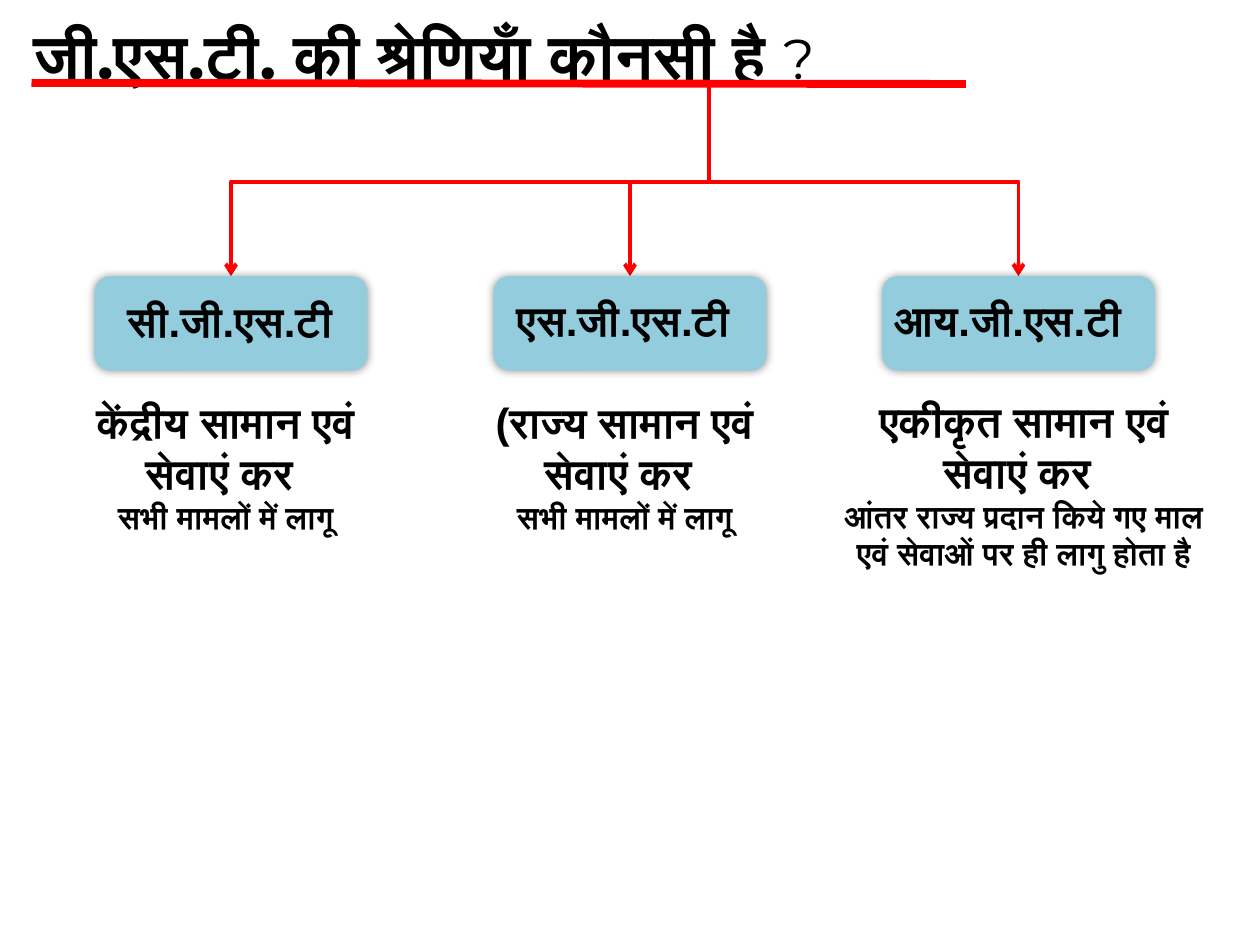
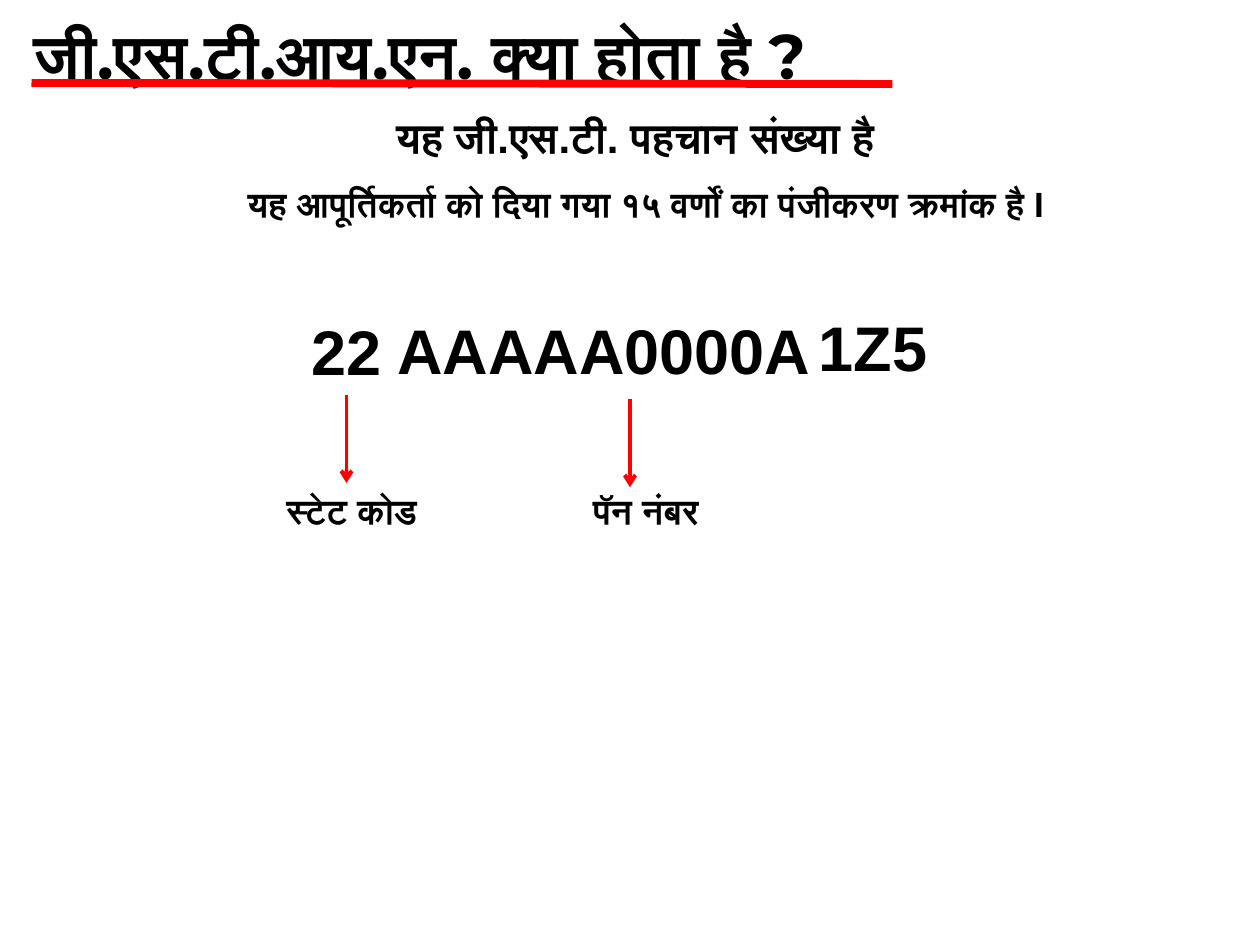
from lxml import etree
from pptx import Presentation
from pptx.dml.color import RGBColor
from pptx.enum.shapes import MSO_CONNECTOR, MSO_SHAPE
from pptx.enum.text import MSO_ANCHOR, MSO_AUTO_SIZE, PP_ALIGN
from pptx.oxml import parse_xml
from pptx.oxml.ns import nsdecls, qn
from pptx.util import Pt

PX = 7620  # 120 px to the inch
BLACK = RGBColor(0x00, 0x00, 0x00)
RED = RGBColor(0xFF, 0x00, 0x00)
BLUE = RGBColor(0x93, 0xCD, 0xDD)
LEFT, CENTER = PP_ALIGN.LEFT, PP_ALIGN.CENTER
TOP, FIT, FIXED = MSO_ANCHOR.TOP, MSO_AUTO_SIZE.SHAPE_TO_FIT_TEXT, MSO_AUTO_SIZE.NONE
LINE, ELBOW = MSO_CONNECTOR.STRAIGHT, MSO_CONNECTOR.ELBOW
ROUND = MSO_SHAPE.ROUNDED_RECTANGLE
TITLE_ONLY = 5
GLOW = (
    f'<a:effectLst {nsdecls("a")}><a:outerShdw blurRad="63500">'
    '<a:srgbClr val="000000"><a:alpha val="40000"/></a:srgbClr>'
    '</a:outerShdw></a:effectLst>'
)


def write(slide, place, lines, align=CENTER):
    """Add a bold text box; lines holds (text, size) for each paragraph."""
    box = slide.shapes.add_textbox(*[n * PX for n in place])
    frame = box.text_frame
    frame.word_wrap = True
    frame.auto_size = FIT
    frame.text = "\n".join(text for text, size in lines)
    for para, (text, size) in zip(frame.paragraphs, lines):
        para.alignment = align
        font = para.font
        font.name, font.size, font.bold = "Arial", Pt(size), True
        font.color.rgb = BLACK
    return box


def draw(slide, kind, ends, width=2.25, arrow=True):
    """Add a red line from ends (x, y, x, y), with an arrowhead if asked."""
    link = slide.shapes.add_connector(kind, *[round(n * PX) for n in ends])
    link.line.color.rgb = RED
    link.line.width = Pt(width)
    props = link.element.spPr
    if arrow:
        etree.SubElement(props.find(qn("a:ln")), qn("a:tailEnd"), type="arrow")
    etree.SubElement(props, qn("a:effectLst"))
    return link


deck = Presentation()
deck.slide_width, deck.slide_height = 1200 * PX, 900 * PX

# Titles with their red rule: text, last mark, its size and weight, widths
heads = [
    ("जी.एस.टी. की श्रेणियाँ कौनसी है ", "?", 32, False, 960, 920),
    ("जी.एस.टी.आय.एन. क्या होता है ", "?", 36, True, 930, 850),
]
slides = []
for text, mark, size, bold, wide, end in heads:
    slide = deck.slides.add_slide(deck.slide_layouts[TITLE_ONLY])
    title = slide.shapes.title
    title.left, title.top, title.width, title.height = [
        n * PX for n in (20, 10, wide, 85)]
    frame = title.text_frame
    frame.auto_size = FIXED
    frame.vertical_anchor = TOP
    para = frame.paragraphs[0]
    para.alignment = LEFT
    font = para.font
    font.name, font.size, font.bold = "Montserrat", Pt(36), True
    font.color.rgb = BLACK
    para.add_run().text = text
    last = para.add_run()
    last.text = mark
    last.font.size, last.font.bold = Pt(size), bold
    draw(slide, LINE, (30, 79, end, 80), 4.5, arrow=False)
    slides.append(slide)
types, number = slides

# Slide 1: tree of the three kinds of tax
ROOT, START, DROP = 675, 83, 180
ALL = "सभी मामलों में लागू"
kinds = [
    (90, "सी.जी.एस.टी", (110, 276, 230, 60),
     "केंद्रीय सामान एवं सेवाएं कर ", ALL, (60, 372, 310, 145)),
    (470, "एस.जी.एस.टी", (480, 275, 240, 60),
     "(राज्य सामान एवं सेवाएं कर ", ALL, (440, 372, 310, 145)),
    (840, "आय.जी.एस.टी", (840, 275, 270, 60),
     "एकीकृत सामान एवं सेवाएं कर ",
     "आंतर राज्य प्रदान किये गए माल एवं सेवाओं पर ही लागु होता है",
     (790, 371, 370, 218)),
]
for left, name, spot, full, scope, place in kinds:
    # An elbow that leaves downwards is a sideways one turned about its middle
    goal = left + 130
    side = 1 if goal < ROOT else -1
    mid_x, mid_y = (ROOT + goal) / 2, START + DROP / 2
    half_w, half_h = side * DROP / 2, abs(ROOT - goal) / 2
    link = draw(types, ELBOW, (mid_x - half_w, mid_y - half_h,
                               mid_x + half_w, mid_y + half_h))
    turn = 90 if side > 0 else 270
    link.element.spPr.find(qn("a:xfrm")).set("rot", str(turn * 60000))

    card = types.shapes.add_shape(
        ROUND, left * PX, (START + DROP) * PX, 260 * PX, 90 * PX)
    card.fill.solid()
    card.fill.fore_color.rgb = BLUE
    card.line.fill.background()
    card.element.spPr.append(parse_xml(GLOW))
    label = write(types, spot, [(name, 24)], LEFT)
    types.shapes.add_group_shape([card, label])
    write(types, place, [(full, 24), (scope, 18)])

# Slide 2: parts of the number
parts = [
    ("यह जी.एस.टी. पहचान संख्या है", 24, (320, 100, 570, 60)),
    ("यह आपूर्तिकर्ता को दिया गया १५ वर्णों का पंजीकरण क्रमांक है I", 20,
     (110, 168, 1010, 53)),
    ("22", 36, (260, 292, 140, 85)),
    ("AAAAA0000A", 36, (330, 291, 490, 85)),
    ("1Z5", 36, (735, 288, 193, 85)),
    ("स्टेट कोड", 20, (230, 460, 210, 53)),
    ("पॅन नंबर", 20, (490, 460, 250, 53)),
]
for text, size, place in parts:
    write(number, place, [(text, size)])
for x, y in [(330, 376), (600, 380)]:
    draw(number, LINE, (x, y, x, y + 84))

deck.save("out.pptx")
